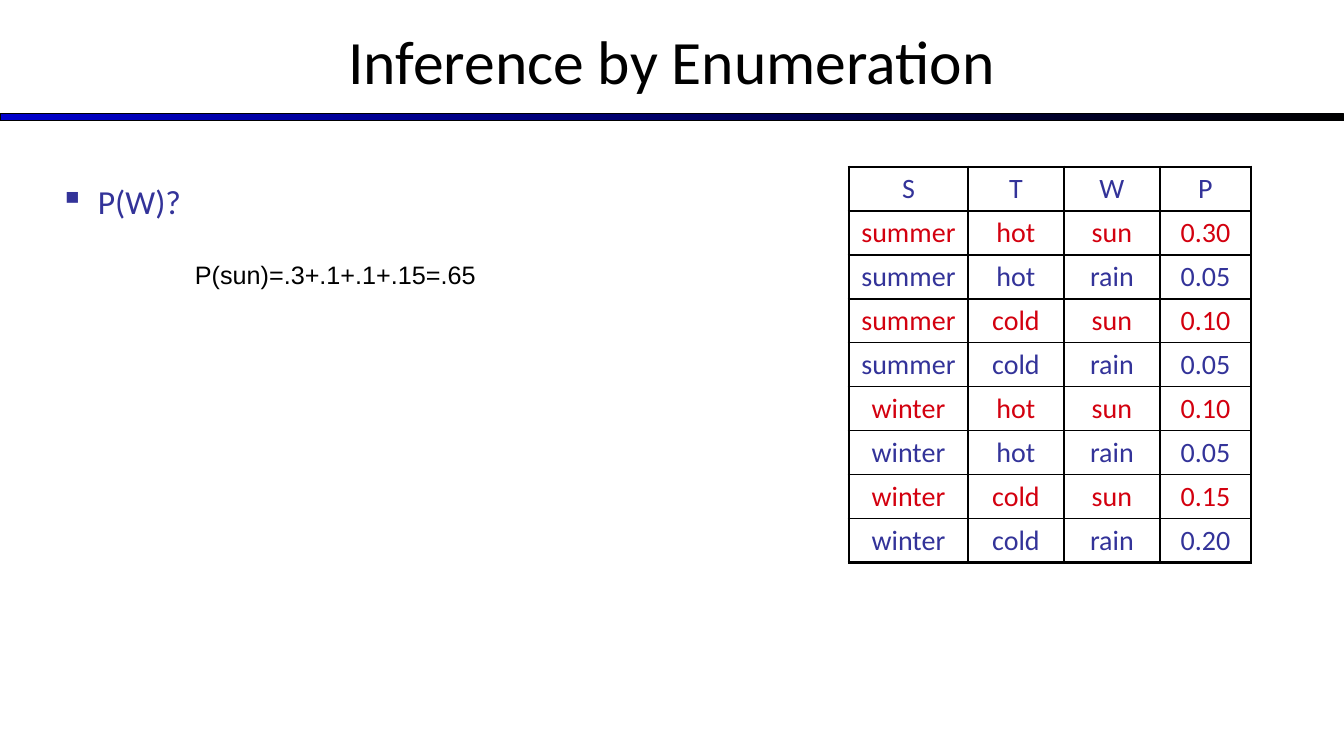
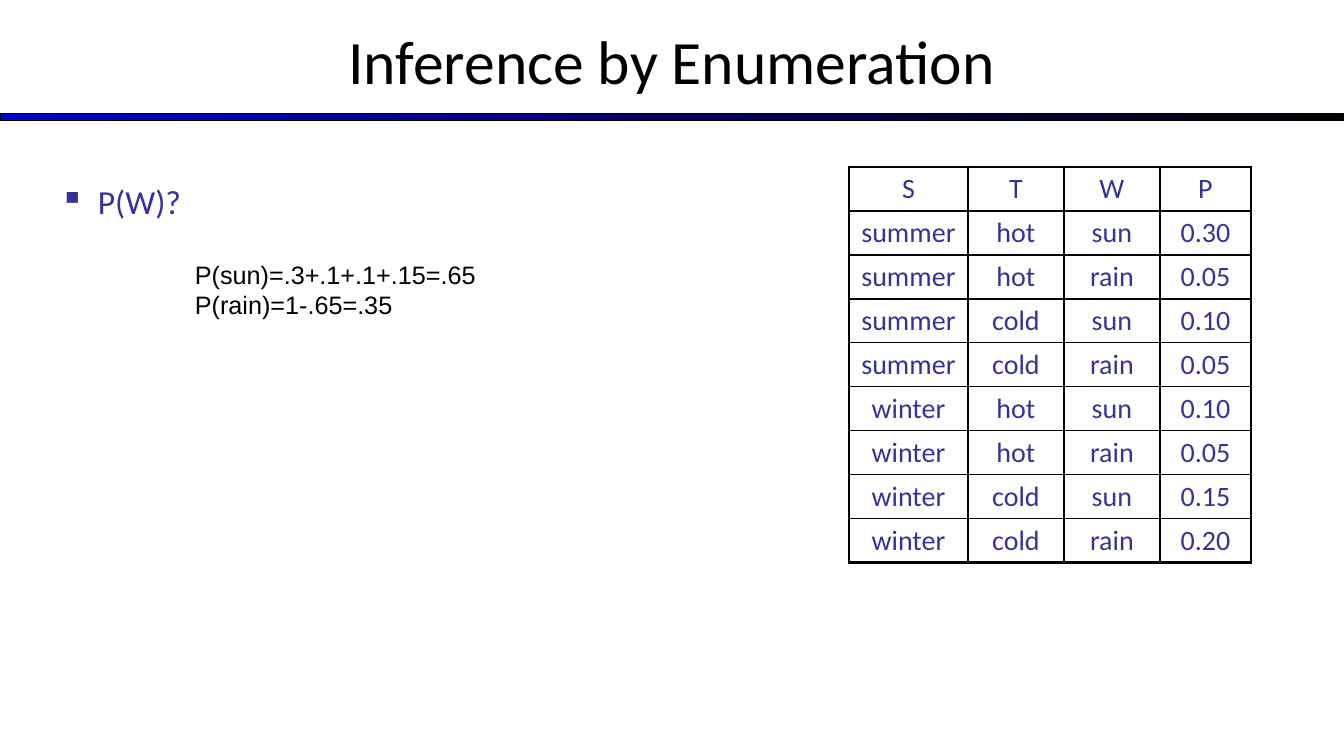
from pptx import Presentation
from pptx import util as u
from pptx.dml.color import RGBColor
from pptx.enum import shapes, text
from pptx.oxml import parse_xml
from pptx.oxml.ns import nsdecls

PX = 9071.43
BLACK, BLUE, RED, NAVY = "000000", "0000CC", "D3000F", "333399"
ROWS = [
    ("S", "T", "W", "P"),
    ("summer", "hot", "sun", "0.30"),
    ("summer", "hot", "rain", "0.05"),
    ("summer", "cold", "sun", "0.10"),
    ("summer", "cold", "rain", "0.05"),
    ("winter", "hot", "sun", "0.10"),
    ("winter", "hot", "rain", "0.05"),
    ("winter", "cold", "sun", "0.15"),
    ("winter", "cold", "rain", "0.20"),
]
SUN = "P(sun)=.3+.1+.1+.15=.65"
RAIN = "P(rain)=1-.65=.35"


def px(n):
    """Turn pixels into EMU."""
    return u.Emu(round(n * PX))


def tint(code):
    """Turn a hex string into a colour."""
    return RGBColor.from_string(code)


def write(frame, words, size=18, font="Calibri", color=BLACK, center=False, before=0):
    """Fill a text frame with one paragraph for each line of words."""
    for i, line in enumerate(words.split("\n")):
        para = frame.add_paragraph() if i else frame.paragraphs[0]
        para.alignment = text.PP_ALIGN.CENTER if center else text.PP_ALIGN.LEFT
        para.space_before = u.Pt(before)
        run = para.add_run()
        run.text = line
        run.font.size = u.Pt(size)
        run.font.name = font
        run.font.color.rgb = tint(color)


def edge(cell, side, width):
    """Draw one border of a table cell."""
    cell._tc.get_or_add_tcPr().append(parse_xml(
        f'<a:ln{side} {nsdecls("a")} w="{u.Pt(width)}"><a:solidFill>'
        f'<a:srgbClr val="{BLACK}"/></a:solidFill></a:ln{side}>'))


class Deck:
    """Hold the style and the current slide."""

    def __init__(self):
        """Start an empty wide deck."""
        self.prs = Presentation()
        self.prs.slide_width, self.prs.slide_height = px(1344), px(756)

    def start(self, title):
        """Add a slide with its band and title."""
        self.slide = self.prs.slides.add_slide(self.prs.slide_layouts[6])
        self.band(0, 114, 1344, 7)
        frame = self.box(0, -3, 1344, 126, title, size=44, center=True)
        frame.vertical_anchor = text.MSO_ANCHOR.MIDDLE

    def band(self, *area):
        """Add a bar that fades from blue to black."""
        bar = self.slide.shapes.add_shape(shapes.MSO_SHAPE.RECTANGLE, *map(px, area))
        bar.shadow.inherit = False
        bar.fill.gradient()
        bar.fill.gradient_angle = 0
        for stop, color in zip(bar.fill.gradient_stops, (BLUE, BLACK)):
            stop.color.rgb = tint(color)
        bar.line.color.rgb = tint(BLACK)
        bar.line.width = u.Pt(0.75)

    def box(self, x, y, w, h, words, **style):
        """Add wrapped text and return its frame."""
        frame = self.slide.shapes.add_textbox(*map(px, (x, y, w, h))).text_frame
        frame.word_wrap = True
        write(frame, words, **style)
        return frame

    def bullet(self, x, y, w, h, words):
        """Add text with a square bullet."""
        frame = self.box(x, y, w, h, words, size=24, color=NAVY, before=2)
        for para in frame.paragraphs:
            props = para._p.get_or_add_pPr()
            props.set("marL", str(px(38)))
            props.set("indent", str(px(-38)))
            for part in (f'buClr {nsdecls("a")}><a:srgbClr val="{NAVY}"/></a:buClr',
                         f'buChar {nsdecls("a")} char="▪"/'):
                props.append(parse_xml(f"<a:{part}>"))

    def table(self, x, y, widths, high, rows, mark):
        """Add a ruled table, with rows holding the marked word in red."""
        tall, wide = len(rows), len(widths)
        area = (x, y, sum(widths), high * tall)
        grid = self.slide.shapes.add_table(tall, wide, *map(px, area)).table
        grid.first_row = grid.horz_banding = False
        for col, width in zip(grid.columns, widths):
            col.width = px(width)
        for r, row in enumerate(rows):
            grid.rows[r].height = px(high)
            for c, word in enumerate(row):
                cell = grid.cell(r, c)
                outer = {"L": c == 0, "R": c == wide - 1, "T": r == 0, "B": r == tall - 1}
                for side, thick in outer.items():
                    edge(cell, side, 2.25 if thick else 1)
                cell.fill.background()
                write(cell.text_frame, word, size=20, center=True,
                      color=RED if mark in row else NAVY)


def main():
    """Build both steps of the example."""
    deck = Deck()
    for lines, mark in (([SUN], "sun"), ([SUN, RAIN], None)):
        deck.start("Inference by Enumeration")
        deck.bullet(50, 176, 446, 499, "P(W)?")
        deck.table(849, 167, (119, 96, 96, 91), 44, ROWS, mark)
        frame = deck.box(185, 254, 336, 9 + 31 * len(lines), "\n".join(lines), font="Arial")
        frame.auto_size = text.MSO_AUTO_SIZE.SHAPE_TO_FIT_TEXT
    deck.prs.save("out.pptx")


if __name__ == "__main__":
    main()
